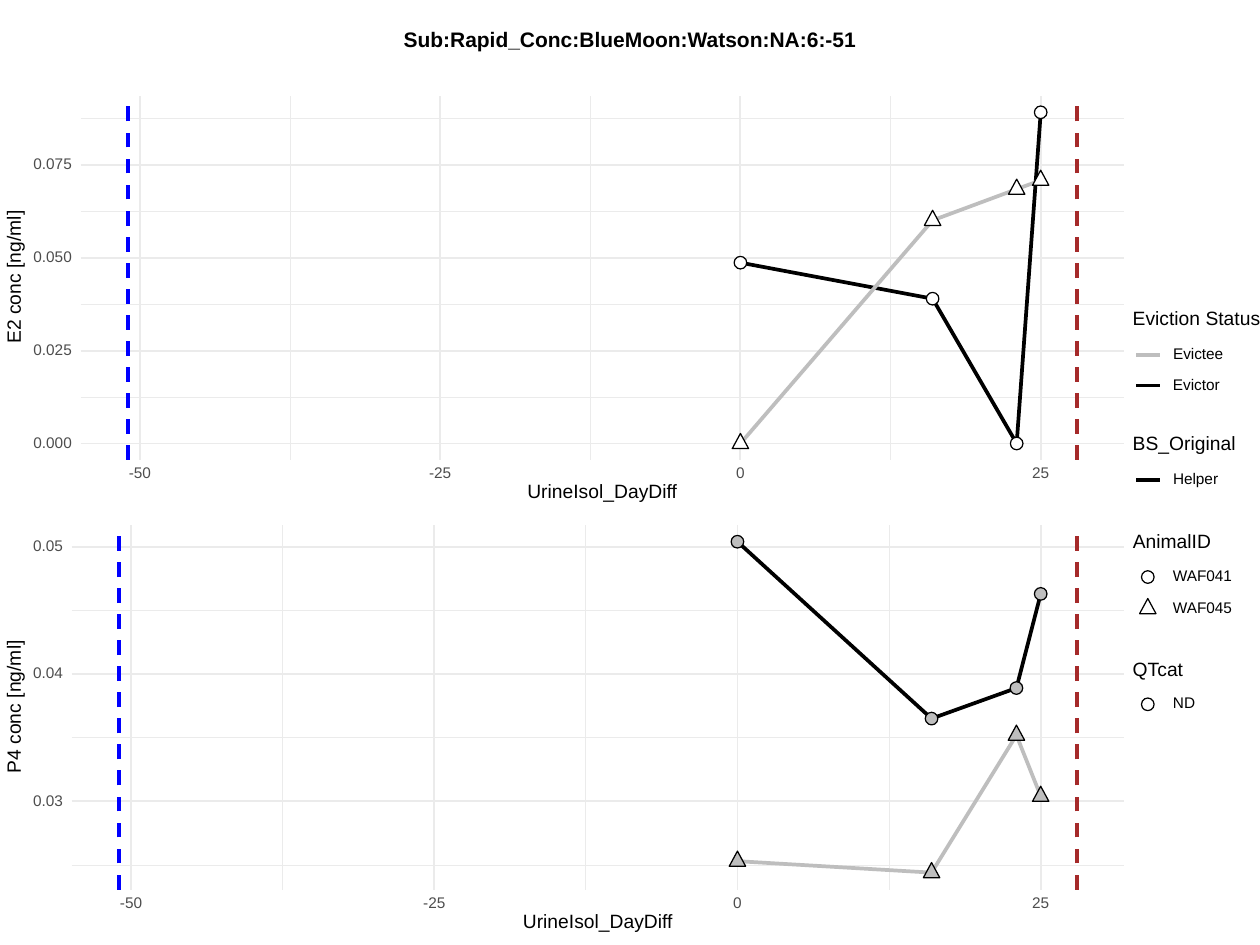
from dataclasses import dataclass

from lxml.etree import SubElement
from pptx import Presentation
from pptx.dml.color import RGBColor
from pptx.enum.dml import MSO_LINE
from pptx.enum.shapes import MSO_CONNECTOR, MSO_SHAPE
from pptx.enum.text import MSO_ANCHOR, PP_ALIGN
from pptx.oxml.ns import qn
from pptx.util import Inches, Pt

BLACK, WHITE, GREY = "000000", "FFFFFF", "BEBEBE"
GRID, TICK, BLUE, BROWN = "EBEBEB", "4D4D4D", "0000FF", "A52A2A"
THICK, MAJOR, MINOR, EDGE = 2.13, 1.07, 0.53, 0.71
SMALL, LARGE, HEAD = 8.8, 11, 12
HEIGHTS = {SMALL: 0.09, LARGE: 0.14, HEAD: 0.15}
CIRCLE, TRIANGLE = MSO_SHAPE.OVAL, MSO_SHAPE.ISOSCELES_TRIANGLE
DAYS = [0, 16, 23, 25]

deck = Presentation()
deck.slide_width, deck.slide_height = Inches(10), Inches(7.5)
shapes = deck.slides.add_slide(deck.slide_layouts[6]).shapes


@dataclass
class Axis:
    """Linear scale through two known values and their places in inches."""
    low: float
    start: float
    high: float
    end: float

    def at(self, value: float) -> float:
        part = (value - self.low) / (self.high - self.low)
        return self.start + part * (self.end - self.start)


@dataclass
class Panel:
    title: str
    left: float
    top: float
    days: Axis
    conc: Axis
    ticks: list[str]
    minors: list[float]
    evictor: list[float]
    evictee: list[float]
    fill: str
    centre: float

    right: float = 8.92
    height: float = 2.89


@dataclass
class Entry:
    """One legend row: its label, label width, centre and key."""
    label: str
    width: float
    y: float
    key: str
    colour: str = BLACK
    fill: str | None = None


def paint(code: str) -> RGBColor:
    return RGBColor.from_string(code)


def text(words: str, left: float, middle: float, width: float, size: float,
         colour: str = BLACK, align=PP_ALIGN.LEFT, bold: bool = False,
         turn: float = 0) -> None:
    height = HEIGHTS[size]
    box = shapes.add_textbox(Inches(left), Inches(middle - height / 2),
                             Inches(width), Inches(height))
    box.rotation = turn
    frame = box.text_frame
    frame.word_wrap = False
    frame.vertical_anchor = MSO_ANCHOR.MIDDLE
    frame.margin_left = frame.margin_right = 0
    frame.margin_top = frame.margin_bottom = 0
    para = frame.paragraphs[0]
    para.text = words
    para.alignment = align
    para.line_spacing = Pt(size)
    font = para.font
    font.name, font.size, font.bold = "Arial", Pt(size), bold
    font.color.rgb = paint(colour)


def centred(words: str, x: float, y: float, width: float, size: float,
            **look) -> None:
    text(words, x - width / 2, y, width, size, align=PP_ALIGN.CENTER, **look)


def span(label: str) -> float:
    """Width of a tick label, with narrow signs and points."""
    return sum(0.04 if char in "-." else 0.07 for char in label)


def rule(x1: float, y1: float, x2: float, y2: float, colour: str,
         weight: float, dashed: bool = False) -> None:
    line = shapes.add_connector(MSO_CONNECTOR.STRAIGHT, Inches(x1),
                                Inches(y1), Inches(x2), Inches(y2))
    line.line.color.rgb = paint(colour)
    line.line.width = Pt(weight)
    if dashed:
        line.line.dash_style = MSO_LINE.DASH
    SubElement(line._element.spPr, qn("a:effectLst"))


def style(shape, fill: str | None, colour: str, weight: float) -> None:
    shape.shadow.inherit = False
    if fill:
        shape.fill.solid()
        shape.fill.fore_color.rgb = paint(fill)
    else:
        shape.fill.background()
    shape.line.color.rgb = paint(colour)
    shape.line.width = Pt(weight)


def trace(points: list[tuple[float, float]], colour: str) -> None:
    spots = [(Inches(x), Inches(y)) for x, y in points]
    path = shapes.build_freeform(*spots[0])
    path.add_line_segments(spots[1:], close=False)
    style(path.convert_to_shape(), None, colour, THICK)


def mark(kind: MSO_SHAPE, x: float, y: float, fill: str | None) -> None:
    """Data point; a triangle sits with its centroid on the point."""
    width, height, rise = (0.1, 0.1, 0.05) if kind == CIRCLE else (0.13, 0.12, 0.08)
    dot = shapes.add_shape(kind, Inches(x - width / 2), Inches(y - rise),
                           Inches(width), Inches(height))
    style(dot, fill, BLACK, EDGE)


def plot(panel: Panel) -> None:
    left, right, top = panel.left, panel.right, panel.top
    base = top + panel.height
    days, conc = panel.days, panel.conc
    dates = [-50, -25, 0, 25]
    grids = [(panel.minors, [-37.5, -12.5, 12.5], MINOR),
             ([float(tick) for tick in panel.ticks], dates, MAJOR)]
    for rows, cols, weight in grids:
        for y in map(conc.at, rows):
            rule(left, y, right, y, GRID, weight)
        for x in map(days.at, cols):
            rule(x, base, x, top, GRID, weight)

    xs = [days.at(day) for day in DAYS]
    lines = [(panel.evictor, BLACK, CIRCLE), (panel.evictee, GREY, TRIANGLE)]
    tracks = [(list(zip(xs, map(conc.at, values))), colour, kind)
              for values, colour, kind in lines]
    for points, colour, _ in tracks:
        trace(points, colour)
    for points, _, kind in tracks:
        for x, y in points:
            mark(kind, x, y, panel.fill)
    for day, colour in [(-51, BLUE), (28, BROWN)]:
        rule(days.at(day), base, days.at(day), top, colour, THICK, dashed=True)

    for tick in panel.ticks:
        width = span(tick)
        text(tick, left - 0.07 - width, conc.at(float(tick)), width, SMALL,
             TICK, PP_ALIGN.RIGHT)
    for date in map(str, dates):
        centred(date, days.at(float(date)), base + 0.11, span(date), SMALL,
                colour=TICK)
    centred("UrineIsol_DayDiff", (left + right) / 2, base + 0.26, 1.21, LARGE)
    centred(panel.title, 0.12, panel.centre, 1.09, LARGE, turn=270)


def legend(title: str, width: float, y: float, entries: list[Entry]) -> None:
    text(title, 8.99, y, width, LARGE)
    for entry in entries:
        if entry.key == "line":
            rule(9.02, entry.y, 9.21, entry.y, entry.colour, THICK)
        else:
            kind = CIRCLE if entry.key == "circle" else TRIANGLE
            mark(kind, 9.11, entry.y, entry.fill)
        text(entry.label, 9.31, entry.y, entry.width, SMALL)


back = shapes.add_shape(MSO_SHAPE.RECTANGLE, 0, 0, Inches(10), Inches(7.5))
style(back, WHITE, WHITE, 0.75)
centred("Sub:Rapid_Conc:BlueMoon:Watson:NA:6:-51", 5, 0.33, 3.62, HEAD, bold=True)
plot(Panel("E2 conc [ng/ml]", 0.64, 0.76, Axis(-50, 1.11, 25, 8.26),
           Axis(0, 3.52, 0.075, 1.31), ["0.000", "0.025", "0.050", "0.075"],
           [0.0125, 0.0375, 0.0625, 0.0875], [0.0487, 0.039, 0, 0.0892],
           [0, 0.0601, 0.0685, 0.0709], WHITE, 2.2))
plot(Panel("P4 conc [ng/ml]", 0.57, 4.17, Axis(-50, 1.04, 25, 8.26),
           Axis(0.03, 6.36, 0.05, 4.34), ["0.03", "0.04", "0.05"],
           [0.025, 0.035, 0.045], [0.0504, 0.0365, 0.0389, 0.0463],
           [0.0253, 0.0244, 0.0352, 0.0304], GREY, 5.61))
legend("Eviction Status", 1.04, 2.54,
       [Entry("Evictee", 0.42, 2.82, "line", GREY),
        Entry("Evictor", 0.4, 3.06, "line")])
legend("BS_Original", 0.84, 3.53, [Entry("Helper", 0.38, 3.81, "line")])
legend("AnimalID", 0.65, 4.31,
       [Entry("WAF041", 0.5, 4.58, "circle"),
        Entry("WAF045", 0.5, 4.83, "triangle")])
legend("QTcat", 0.44, 5.32, [Entry("ND", 0.2, 5.59, "circle", fill=WHITE)])
deck.save("out.pptx")
